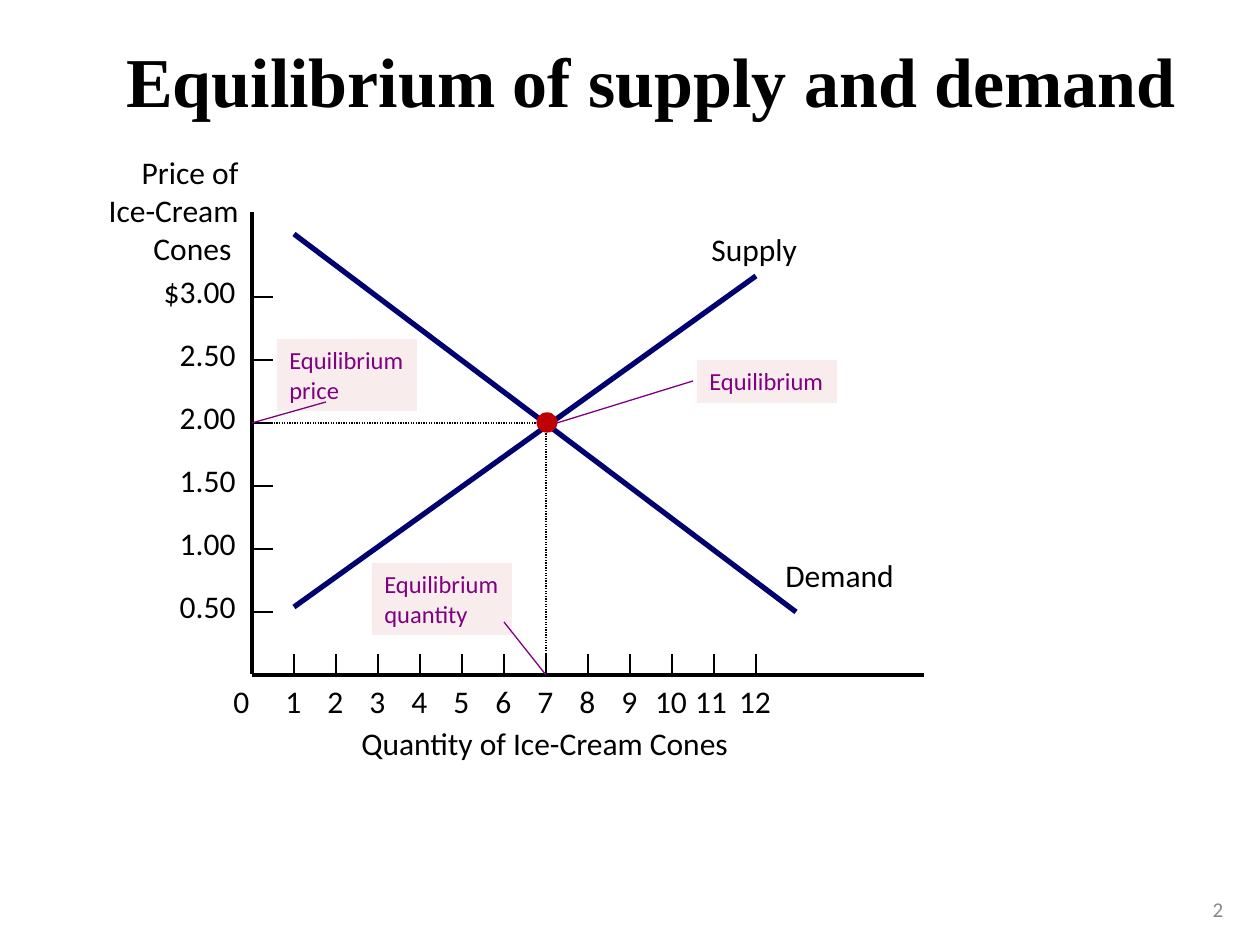
from lxml.etree import SubElement
from pptx import Presentation
from pptx.dml.color import RGBColor
from pptx.enum.dml import MSO_LINE
from pptx.enum.shapes import MSO_CONNECTOR, MSO_SHAPE
from pptx.enum.text import MSO_ANCHOR, MSO_AUTO_SIZE, PP_ALIGN
from pptx.oxml.ns import qn
from pptx.util import Pt

PX = 914400 // 126
BLACK = RGBColor(0, 0, 0)
WHITE = RGBColor(255, 255, 255)
GREY = RGBColor(0x89, 0x89, 0x89)
NAVY = RGBColor(0, 0, 0x70)
PURPLE = RGBColor(0x80, 0, 0x80)
PINK = RGBColor(0xF8, 0xED, 0xEC)
RED = RGBColor(0xC0, 0, 0)
LEFT, CENTER, RIGHT = PP_ALIGN.LEFT, PP_ALIGN.CENTER, PP_ALIGN.RIGHT

prs = Presentation()
prs.slide_width, prs.slide_height = 1260 * PX, 945 * PX
slide = prs.slides.add_slide(prs.slide_layouts[5])
shapes = slide.shapes


def write(text, x, y, w, h, align=LEFT, size=18, color=BLACK):
    """Add a text box, placed in px, and return it."""
    box = shapes.add_textbox(x * PX, y * PX, w * PX, h * PX)
    frame = box.text_frame
    frame.word_wrap = False
    frame.text = text
    for para in frame.paragraphs:
        para.alignment = align
        for run in para.runs:
            run.font.name = "Calibri"
            run.font.size = Pt(size)
            run.font.color.rgb = color
    return box


def draw(x1, y1, x2, y2, color=BLACK, width=0.75):
    """Add a straight line between two points in px and return it."""
    line = shapes.add_connector(
        MSO_CONNECTOR.STRAIGHT, x1 * PX, y1 * PX, x2 * PX, y2 * PX)
    line.line.color.rgb = color
    line.line.width = Pt(width)
    SubElement(line._element.spPr, qn("a:effectLst"))
    return line


# Title and slide number
title = shapes.title
title.left, title.top, title.width, title.height = 42 * PX, 31 * PX, 1218 * PX, 137 * PX
frame = title.text_frame
frame.text = "Equilibrium of supply and demand"
frame.auto_size = MSO_AUTO_SIZE.NONE
frame.vertical_anchor = MSO_ANCHOR.TOP
frame.margin_top = 7 * PX
frame.paragraphs[0].alignment = CENTER
font = frame.paragraphs[0].runs[0].font
font.name, font.size, font.bold = "Times New Roman", Pt(40), True
font.color.rgb = BLACK

page = write("2", 1176, 884, 84, 50, CENTER, 12, GREY)
page.text_frame.vertical_anchor = MSO_ANCHOR.MIDDLE

# Plot area
plot = shapes.add_shape(MSO_SHAPE.RECTANGLE, 252 * PX, 203 * PX, 672 * PX, 472 * PX)
plot.shadow.inherit = False
plot.fill.solid()
plot.fill.fore_color.rgb = WHITE
plot.line.color.rgb = WHITE
plot.line.width = Pt(2)

# Supply curve
draw(294, 607, 756, 276, NAVY, 3)
write("Supply", 699, 224, 112, 50)

# Quantity axis
draw(252, 675, 924, 675, width=2.25)
write("0", 221, 676, 40, 50, CENTER)
for count in range(1, 13):
    x = 252 + 42 * count
    draw(x, 654, x, 675)
    wide = 40 if count < 10 else 70
    shift = 3 if count == 11 else 1
    write(str(count), x - wide // 2 - shift, 676, wide, 50, CENTER)
write("Quantity of Ice-Cream Cones", 349, 718, 400, 50)

# Price axis
draw(252, 212, 252, 674, width=2.25)
for step, price in enumerate(["0.50", "1.00", "1.50", "2.00", "2.50", "$3.00"]):
    y = 612 - 63 * step
    draw(252, y, 273, y)
    write(price, 148, y - 31, 100, 50, RIGHT)
write("Price of\nIce-Cream\nCones ", 89, 147, 162, 126, RIGHT)

# Demand curve
draw(294, 234, 796, 612, NAVY, 3)
write("Demand", 773, 550, 134, 50)

# Equilibrium point and its guides
for x, y in [(546, 675), (252, 423)]:
    draw(546, 423, x, y).line.dash_style = MSO_LINE.ROUND_DOT
dot = shapes.add_shape(MSO_SHAPE.OVAL, 537 * PX, 413 * PX, 20 * PX, 19 * PX)
dot.shadow.inherit = False
dot.fill.solid()
dot.fill.fore_color.rgb = RED
dot.line.color.rgb = RED
dot.line.width = Pt(0.75)

# Callouts: text, box place and height, pointer ends
callouts = [
    ("Equilibrium", 697, 360, 43, (557, 423, 693, 381)),
    ("Equilibrium\nprice", 277, 339, 72, (252, 423, 326, 402)),
    ("Equilibrium\nquantity", 372, 563, 72, (504, 622, 546, 675)),
]
for text, x, y, h, ends in callouts:
    note = write(text, x, y, 140, h, size=14, color=PURPLE)
    note.fill.solid()
    note.fill.fore_color.rgb = PINK
    draw(*ends, color=PURPLE)

prs.save("out.pptx")
